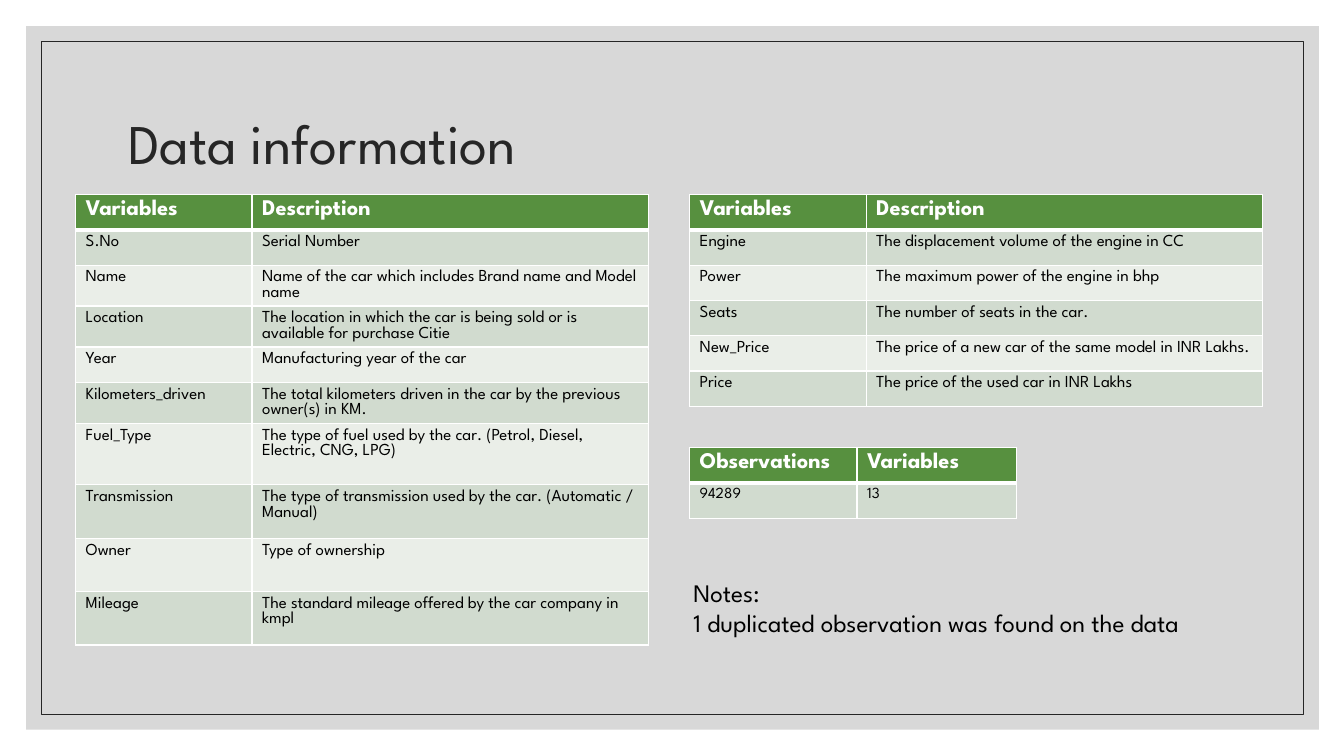
from lxml import etree
from pptx import Presentation
from pptx.dml.color import RGBColor
from pptx.enum.shapes import MSO_SHAPE
from pptx.enum.text import MSO_ANCHOR, MSO_AUTO_SIZE, PP_ALIGN
from pptx.oxml import parse_xml
from pptx.oxml.ns import nsdecls, qn
from pptx.util import Inches, Pt

FONT = "League Spartan"
WHITE = RGBColor(0xFF, 0xFF, 0xFF)
BLACK = RGBColor(0x00, 0x00, 0x00)
INK = RGBColor(0x26, 0x26, 0x26)
GRAY = RGBColor(0xBF, 0xBF, 0xBF)
GREEN = RGBColor(0x57, 0x90, 0x3F)
BANDS = (RGBColor(0xD1, 0xDB, 0xCF), RGBColor(0xEA, 0xEE, 0xE8))

HEADER = ("Variables", "Description")
CAR_FIELDS = [
    HEADER,
    ("S.No", "Serial Number"),
    ("Name", "Name of the car which includes Brand name and Model name"),
    ("Location", "The location in which the car is being sold or is available for purchase Citie"),
    ("Year", "Manufacturing year of the car"),
    ("Kilometers_driven", "The total kilometers driven in the car by the previous owner(s) in KM."),
    ("Fuel_Type", "The type of fuel used by the car. (Petrol, Diesel, Electric, CNG, LPG)"),
    ("Transmission", "The type of transmission used by the car. (Automatic / Manual)"),
    ("Owner", "Type of ownership"),
    ("Mileage", "The standard mileage offered by the car company in kmpl"),
]
ENGINE_FIELDS = [
    HEADER,
    ("Engine", "The displacement volume of the engine in CC"),
    ("Power", "The maximum power of the engine in bhp"),
    ("Seats", "The number of seats in the car."),
    ("New_Price", "The price of a new car of the same model in INR Lakhs."),
    ("Price", "The price of the used car in INR Lakhs"),
]
DATA_SIZE = [("Observations", "Variables"), ("94289", "13")]
FIELD_COLS = (1.75, 3.93)
ROW = 0.35


class SlideBuilder:
    def __init__(self, prs):
        self.s = prs.slides.add_slide(prs.slide_layouts[5])

    def add_run(self, p, text, size, color, bold=False):
        r = p.add_run()
        r.text = text
        r.font.name = FONT
        r.font.size = Pt(size)
        r.font.bold = bold
        r.font.color.rgb = color

    def frame(self, x, y, w, h, fill=None, alpha=100, line=None):
        """Add a background rectangle behind the title."""
        sp = self.s.shapes.add_shape(
            MSO_SHAPE.RECTANGLE, Inches(x), Inches(y), Inches(w), Inches(h))
        sp.shadow.inherit = False
        if fill is None:
            sp.fill.background()
        else:
            sp.fill.solid()
            sp.fill.fore_color.rgb = fill
            clr = next(sp.element.spPr.iter(qn("a:srgbClr")))
            etree.SubElement(clr, qn("a:alpha")).set("val", str(alpha * 1000))
        if line is None:
            sp.line.fill.background()
        else:
            sp.line.color.rgb = line
            sp.line.width = Pt(0.5)
        self.s.shapes.title.element.addprevious(sp.element)

    def title(self, text, x, y, w, h):
        sp = self.s.shapes.title
        sp.left, sp.top, sp.width, sp.height = map(Inches, (x, y, w, h))
        tf = sp.text_frame
        tf.auto_size = MSO_AUTO_SIZE.NONE
        tf.vertical_anchor = MSO_ANCHOR.MIDDLE
        p = tf.paragraphs[0]
        p.alignment = PP_ALIGN.LEFT
        p.line_spacing = 0.9
        self.add_run(p, text, 40, INK)

    def borders(self, cell, row):
        """Draw white cell borders, with a thick rule under the header."""
        widths = {"L": 1, "R": 1, "T": 3 if row == 1 else 1, "B": 3 if row == 0 else 1}
        tc_pr = cell._tc.get_or_add_tcPr()
        for side, width in widths.items():
            tc_pr.append(parse_xml(
                f'<a:ln{side} {nsdecls("a")} w="{Pt(width)}"><a:solidFill>'
                f'<a:srgbClr val="{WHITE}"/></a:solidFill></a:ln{side}>'))

    def table(self, rows, x, y, cols, heights, size=12):
        tbl = self.s.shapes.add_table(
            len(rows), len(cols), Inches(x), Inches(y),
            Inches(sum(cols)), Inches(sum(heights))).table
        for col, width in zip(tbl.columns, cols):
            col.width = Inches(width)
        for i, (row, height) in enumerate(zip(rows, heights)):
            tbl.rows[i].height = Inches(height)
            for j, text in enumerate(row):
                cell = tbl.cell(i, j)
                self.borders(cell, i)
                cell.fill.solid()
                cell.fill.fore_color.rgb = BANDS[(i - 1) % 2] if i else GREEN
                p = cell.text_frame.paragraphs[0]
                if i:
                    self.add_run(p, text, size, BLACK)
                else:
                    self.add_run(p, text, 16, WHITE, bold=True)

    def text(self, lines, x, y, w, h, size):
        tf = self.s.shapes.add_textbox(Inches(x), Inches(y), Inches(w), Inches(h)).text_frame
        tf.word_wrap = True
        for i, line in enumerate(lines):
            p = tf.add_paragraph() if i else tf.paragraphs[0]
            self.add_run(p, line, size, BLACK)


def main():
    prs = Presentation()
    prs.slide_width, prs.slide_height = Inches(13.33), Inches(7.5)
    b = SlideBuilder(prs)
    b.frame(0.26, 0.26, 12.82, 6.98, fill=GRAY, alpha=60)
    b.frame(0.41, 0.41, 12.52, 6.68, line=INK)
    b.title("Data information", 1.17, 0.7, 11, 1.5)
    b.table(CAR_FIELDS, 0.75, 1.93, FIELD_COLS, [ROW] * 6 + [0.61] + [0.53] * 3)
    b.table(ENGINE_FIELDS, 6.84, 1.93, FIELD_COLS, [ROW] * 6)
    b.table(DATA_SIZE, 6.84, 4.44, (1.66, 1.58), [ROW] * 2, size=11)
    b.text(["Notes:", "1 duplicated observation was found on the data"],
           6.78, 5.68, 5.74, 1.01, 18)
    prs.save("out.pptx")


if __name__ == "__main__":
    main()
